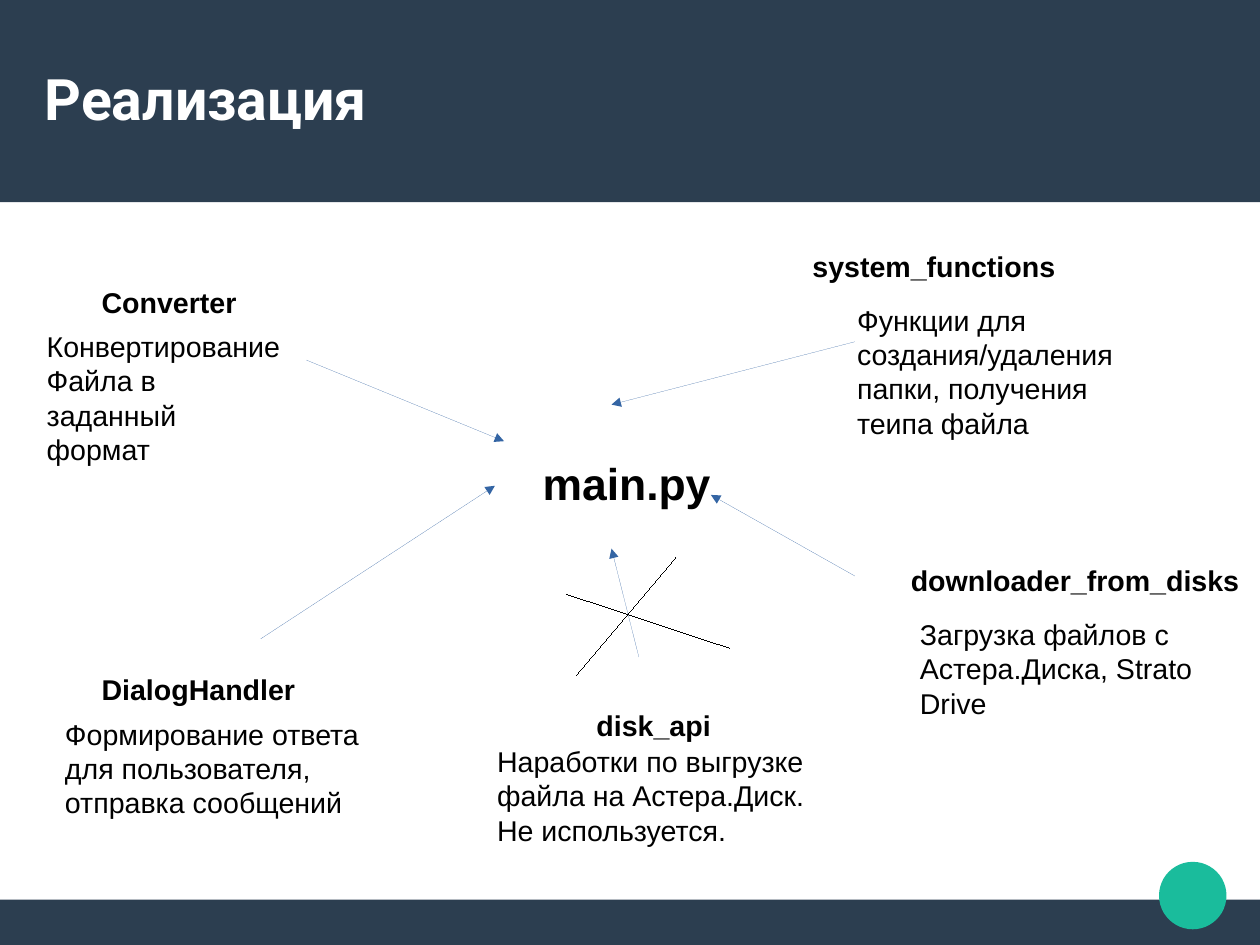
from dataclasses import dataclass

from lxml.etree import SubElement
from pptx import Presentation
from pptx.dml.color import RGBColor
from pptx.enum.shapes import MSO_CONNECTOR, MSO_SHAPE
from pptx.enum.text import MSO_ANCHOR, MSO_AUTO_SIZE, PP_ALIGN
from pptx.oxml.ns import qn
from pptx.util import Inches, Pt

WIDTH, HEIGHT = 28 / 2.54, 21 / 2.54  # 28 by 21 cm
FOOTER_TOP = 7.87
NAVY, TEAL, BLUE, BLACK, WHITE = "2C3E50", "1ABC9C", "3465A4", "000000", "FFFFFF"

Point = tuple[float, float]
Box = tuple[float, float, float, float]


@dataclass
class Module:
    name: str
    name_box: Box
    about: str
    about_box: Box
    arrow_from: Point
    arrow_to: Point


MODULES = [
    Module("DialogHandler", (0.79, 5.83, 3.31, 0.66),
           "Формирование ответа для пользователя, отправка сообщений",
           (0.47, 6.22, 2.91, 0.94), (2.28, 5.59), (4.33, 4.25)),
    Module("Converter", (0.79, 2.44, 3.78, 0.66),
           "Конвертирование\nФайла в заданный формат",
           (0.31, 2.83, 2.28, 1.5), (2.68, 3.15), (4.41, 3.86)),
    Module("system_functions", (7.01, 2.13, 3.7, 0.38),
           "Функции для создания/удаления папки, получения теипа файла",
           (7.4, 2.6, 2.68, 1.22), (7.48, 2.99), (5.35, 3.54)),
    Module("downloader_from_disks", (7.87, 4.88, 3.15, 0.66),
           "Загрузка файлов с Астера.Диска, Strato Drive",
           (7.95, 5.35, 2.83, 0.94), (7.48, 5.04), (6.22, 4.33)),
    Module("disk_api", (5.12, 6.14, 2.68, 0.38),
           "Наработки по выгрузке файла на Астера.Диск. Не используется.",
           (4.25, 6.46, 2.91, 1.5), (5.59, 5.75), (5.35, 4.8)),
]
CROSS_OUT = [((4.96, 5.2), (6.38, 5.67)), ((5.91, 4.88), (5.04, 5.91))]


def rgb(color: str) -> RGBColor:
    return RGBColor.from_string(color)


def write(tf, text: str, *, size: float = 18, bold: bool = False,
          color: str = BLACK, font: str = "Arial") -> None:
    tf.word_wrap = True
    tf.auto_size = MSO_AUTO_SIZE.NONE
    tf.text = text
    for p in tf.paragraphs:
        p.alignment = PP_ALIGN.LEFT
        for r in p.runs:
            r.font.size, r.font.bold, r.font.name = Pt(size), bold, font
            r.font.color.rgb = rgb(color)


def add_text(slide, box: Box, text: str, **fmt) -> None:
    write(slide.shapes.add_textbox(*map(Inches, box)).text_frame, text, **fmt)


def add_block(slide, kind: MSO_SHAPE, box: Box, color: str) -> None:
    sp = slide.shapes.add_shape(kind, *map(Inches, box))
    sp.shadow.inherit = False
    sp.fill.solid()
    sp.fill.fore_color.rgb = rgb(color)
    sp.line.fill.background()


def add_line(slide, start: Point, end: Point, color: str, arrow: bool = False) -> None:
    line = slide.shapes.add_connector(MSO_CONNECTOR.STRAIGHT, *map(Inches, start + end))
    line.line.color.rgb = rgb(color)
    props = line.element.spPr
    ln = props.find(qn("a:ln"))
    ln.set("w", "0")  # hairline
    if arrow:
        SubElement(ln, qn("a:tailEnd"), type="triangle")
    SubElement(props, qn("a:effectLst"))


def main() -> None:
    prs = Presentation()
    prs.slide_width, prs.slide_height = Inches(WIDTH), Inches(HEIGHT)
    slide = prs.slides.add_slide(prs.slide_layouts[5])

    # Header and footer bands with the round accent
    add_block(slide, MSO_SHAPE.RECTANGLE, (0, FOOTER_TOP, WIDTH, HEIGHT - FOOTER_TOP), NAVY)
    add_block(slide, MSO_SHAPE.RECTANGLE, (0, 0, WIDTH, 1.77), NAVY)
    add_block(slide, MSO_SHAPE.OVAL, (10.14, 7.54, 0.59, 0.59), TEAL)

    # Title, brought in front of the header band
    title = slide.shapes.title
    slide.shapes.element.append(title.element)
    title.left, title.top, title.width, title.height = map(Inches, (0.39, 0.33, 10.24, 1.05))
    tf = title.text_frame
    tf.margin_left = tf.margin_top = tf.margin_right = tf.margin_bottom = 0
    tf.vertical_anchor = MSO_ANCHOR.MIDDLE
    write(tf, "Реализация", size=36, bold=True, color=WHITE, font="Roboto")

    # Central file and the modules pointing to it
    add_text(slide, (4.65, 3.94, 4.09, 1.09), "main.py", size=28, bold=True)
    for m in MODULES:
        add_line(slide, m.arrow_from, m.arrow_to, BLUE, arrow=True)
        add_text(slide, m.name_box, m.name, bold=True)
        add_text(slide, m.about_box, m.about)

    # Cross over the unused module's arrow
    for start, end in CROSS_OUT:
        add_line(slide, start, end, BLACK)

    prs.save("out.pptx")


if __name__ == "__main__":
    main()
